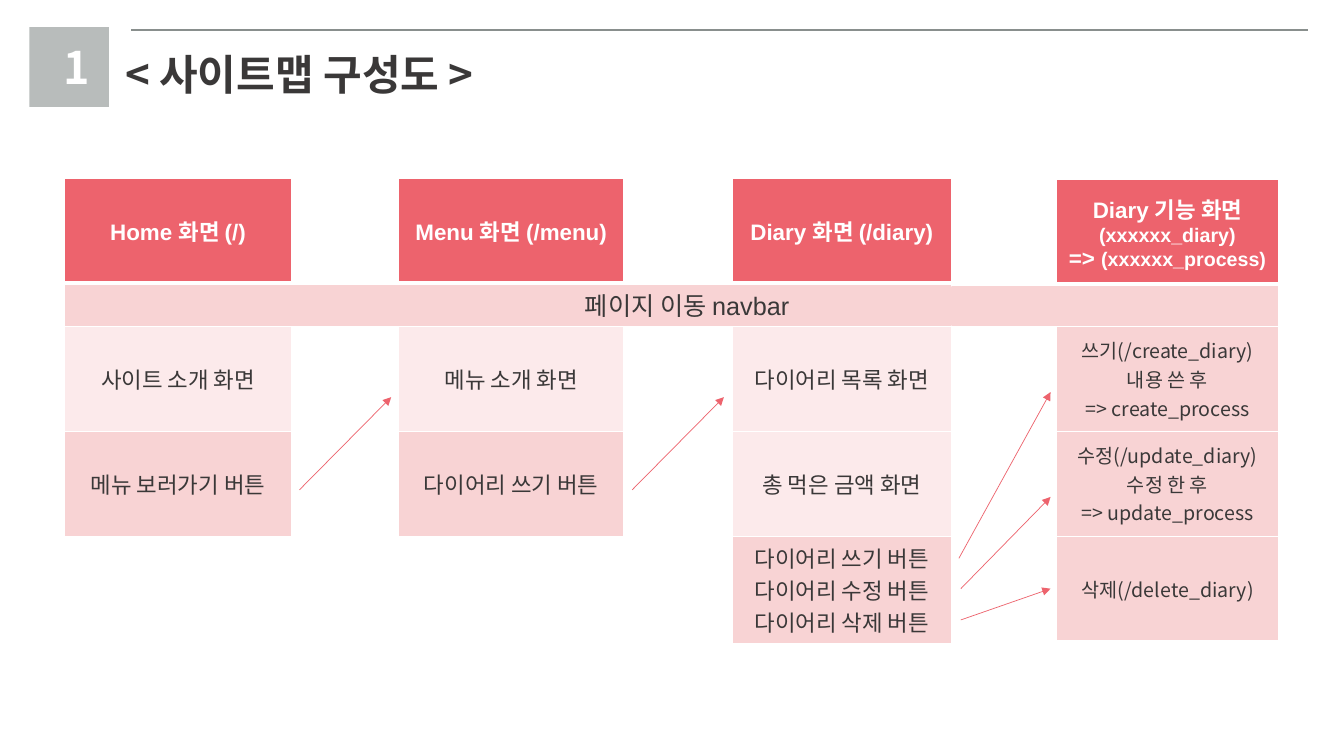
from lxml import etree
from pptx import Presentation
from pptx.dml.color import RGBColor
from pptx.enum import shapes, text
from pptx.oxml.ns import qn
from pptx.util import Inches, Pt

RED, PINK, PALE = "ED636D", "F8D3D4", "FCEAEB"
WHITE, DARK, GRAY, RULE = "FFFFFF", "3A3838", "B8BCBB", "898F8D"
ARIAL, NOTO = "Arial", "Noto Sans CJK KR"


def rgb(color):
    return RGBColor.from_string(color)


def style_run(r, size, color, bold=False, font=NOTO):
    r.font.size, r.font.bold, r.font.name = Pt(size), bold, font
    r.font.color.rgb = rgb(color)
    etree.SubElement(r._r.get_or_add_rPr(), qn("a:ea")).set("typeface", NOTO)


def add_box(slide, kind, left, top, width, height, color):
    sp = slide.shapes.add_shape(kind, Inches(left), Inches(top),
                                Inches(width), Inches(height))
    sp.shadow.inherit = False
    sp.fill.solid()
    sp.fill.fore_color.rgb = rgb(color)
    sp.line.fill.background()
    return sp


def add_line(slide, start, end, color, width, arrow=False):
    line = slide.shapes.add_connector(shapes.MSO_CONNECTOR.STRAIGHT,
                                      *map(Inches, start + end))
    line.line.color.rgb = rgb(color)
    line.line.width = Pt(width)
    if arrow:
        etree.SubElement(line.line._get_or_add_ln(), qn("a:tailEnd")).set("type", "triangle")
    etree.SubElement(line._element.spPr, qn("a:effectLst"))


def style_cell(cell, fill, bottom=1):
    tcPr = cell._tc.get_or_add_tcPr()
    for side, width in (("L", 1), ("R", 1), ("T", 1), ("B", bottom)):
        ln = etree.SubElement(tcPr, qn("a:ln" + side), w=str(Pt(width)))
        solid = etree.SubElement(ln, qn("a:solidFill"))
        etree.SubElement(solid, qn("a:srgbClr")).set("val", WHITE)
    if fill:
        cell.fill.solid()
        cell.fill.fore_color.rgb = rgb(fill)
    else:
        cell.fill.background()


def write_cell(cell, content, sizes, color, bold, font):
    cell.vertical_anchor = text.MSO_ANCHOR.MIDDLE
    cell.text_frame.text = content
    for p, size in zip(cell.text_frame.paragraphs, sizes):
        p.alignment = text.PP_ALIGN.CENTER
        for r in p.runs:
            style_run(r, size, color, bold, font)


def add_grid(slide, left, top, widths, heights, rows, blank, body_size, body_font):
    """Each cell is (text, fill) or None; row 0 is the header, row 1 the navbar."""
    frame = slide.shapes.add_table(len(rows), len(widths), Inches(left), Inches(top),
                                   Inches(sum(widths)), Inches(sum(heights)))
    table = frame.table
    for column, width in zip(table.columns, widths):
        column.width = Inches(width)
    for row, height in zip(table.rows, heights):
        row.height = Inches(height)
    for i, row in enumerate(rows):
        for j, item in enumerate(row):
            content, fill = item or ("", blank)
            cell = table.cell(i, j)
            style_cell(cell, fill, bottom=1 if i else 3)
            if i == 1:
                cell.margin_top = cell.margin_bottom = Inches(0.01)
            if not content:
                continue
            if i == 0:
                write_cell(cell, content, (16, 14, 14), WHITE, True, ARIAL)
            else:
                size = 18 if i == 1 else body_size
                write_cell(cell, content, [size] * 3, DARK, False, body_font)
    table.cell(1, 0).merge(table.cell(1, len(widths) - 1))
    return table


def add_heading(slide):
    add_line(slide, (1.3, 0.3), (12.97, 0.3), RULE, 1.5)
    badge = add_box(slide, shapes.MSO_SHAPE.RECTANGLE, 0.29, 0.27, 0.79, 0.79, GRAY)
    tf = badge.text_frame
    tf.margin_left, tf.margin_right = Inches(0.15), 0
    tf.text = "1"
    tf.paragraphs[0].alignment = text.PP_ALIGN.CENTER
    style_run(tf.paragraphs[0].runs[0], 32, WHITE, True)

    title = slide.shapes.title
    title.left, title.top = Inches(1.14), Inches(0.43)
    title.width, title.height = Inches(4.2), Inches(0.61)
    tf = title.text_frame
    tf.text = "< 사이트맵 구성도 >"
    tf.word_wrap = False
    tf.vertical_anchor = text.MSO_ANCHOR.MIDDLE
    tf.paragraphs[0].alignment = text.PP_ALIGN.LEFT
    style_run(tf.paragraphs[0].runs[0], 30, DARK, True)


def main():
    prs = Presentation()
    prs.slide_width, prs.slide_height = Inches(13.33), Inches(7.5)
    slide = prs.slides.add_slide(prs.slide_layouts[5])

    # Diary function pages, on the right
    feature_rows = [
        [None, ("Diary 기능 화면\n(xxxxxx_diary)\n=> ", RED)],
        [("", PINK)] * 2,
        [None, ("쓰기(/create_diary)\n내용 쓴 후\n=> create_process", PINK)],
        [None, ("수정(/update_diary)\n수정 한 후\n=> update_process", PINK)],
        [None, ("삭제(/delete_diary)", PINK)],
    ]
    features = add_grid(slide, 8.53, 1.78, [1.95, 2.2], [1.04, 0.42] + [1.04] * 3,
                        feature_rows, None, 14, NOTO)
    process_line = features.cell(0, 1).text_frame.paragraphs[2]
    process_line.runs[0].font.size = Pt(16)
    process_name = process_line.add_run()
    process_name.text = "(xxxxxx_process)"
    style_run(process_name, 14, WHITE, True, ARIAL)

    add_heading(slide)

    # Home, menu and diary pages
    page_rows = [
        [("Home 화면 (/)", RED), None, ("Menu 화면 (/menu)", RED), None,
         ("Diary 화면 (/diary)", RED)],
        [("페이지 이동 navbar", PINK)] + [("", PINK)] * 4,
        [("사이트 소개 화면", PALE), None, ("메뉴 소개 화면", PALE), None,
         ("다이어리 목록 화면", PALE)],
        [("메뉴 보러가기 버튼", PINK), None, ("다이어리 쓰기 버튼", PINK), None,
         ("총 먹은 금액 화면", PALE)],
        [None] * 4 + [("다이어리 쓰기 버튼\n다이어리 수정 버튼\n다이어리 삭제 버튼", PINK)],
    ]
    pages = add_grid(slide, 0.64, 1.77, [2.25, 1.06, 2.24, 1.07, 2.18],
                     [1.04, 0.43] + [1.04] * 3, page_rows, WHITE, 16, ARIAL)
    # Indent the navbar label so that it centres across both tables
    navbar = pages.cell(1, 0).text_frame.paragraphs[0]
    navbar._p.get_or_add_pPr().set("marL", str(Inches(3.55)))

    # Links between pages
    for start, end in [((2.97, 4.86), (3.88, 3.94)),
                       ((6.27, 4.86), (7.18, 3.94)),
                       ((9.51, 5.54), (10.42, 3.89)),
                       ((9.53, 5.84), (10.42, 4.93)),
                       ((9.53, 6.15), (10.42, 5.84))]:
        add_line(slide, start, end, RED, 0.5, arrow=True)

    # Joint of the navbar
    add_box(slide, shapes.MSO_SHAPE.ROUNDED_RECTANGLE, 9.22, 2.84, 0.43, 0.39, PINK)

    prs.save("out.pptx")


if __name__ == "__main__":
    main()
